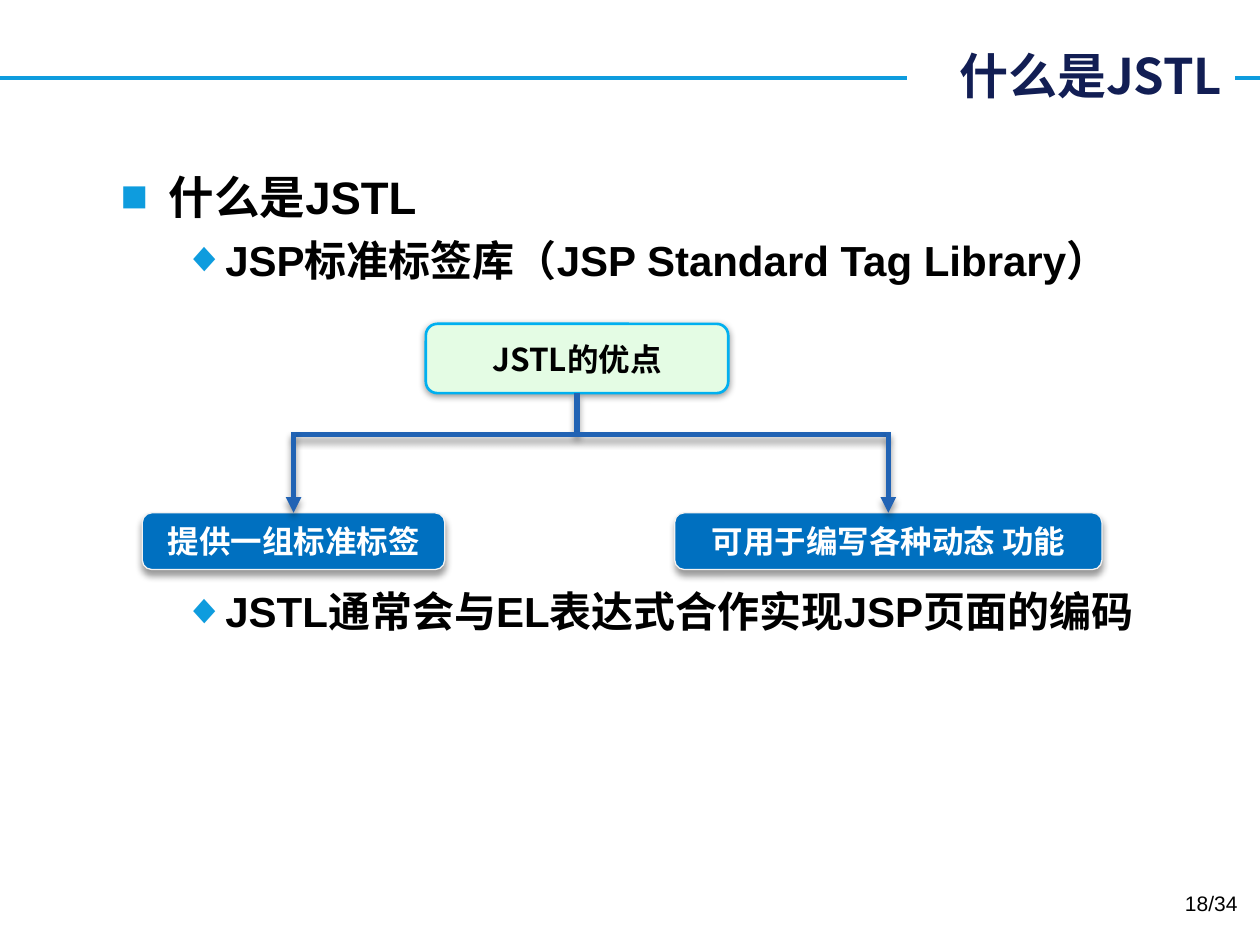
from lxml.etree import SubElement
from pptx import Presentation
from pptx.dml.color import RGBColor
from pptx.enum.shapes import MSO_CONNECTOR as Line, MSO_SHAPE as Shape
from pptx.enum.text import MSO_ANCHOR as Anchor, MSO_AUTO_SIZE as Auto, PP_ALIGN as Align
from pptx.oxml.ns import qn
from pptx.util import Inches, Pt

TOP, BOTTOM = 0, 2


def color(value):
    return RGBColor.from_string(value)


def add_effects(shape, distance=None):
    """Give the shape a soft downward shadow, or none without a distance."""
    sp_pr = shape._element.spPr
    effects = SubElement(sp_pr, qn("a:effectLst"))
    if distance:
        shadow = SubElement(effects, qn("a:outerShdw"), blurRad=str(Pt(4)),
                            dist=str(Pt(distance)), dir="5400000", rotWithShape="0")
        black = SubElement(shadow, qn("a:srgbClr"), val="000000")
        SubElement(black, qn("a:alpha"), val="40000")


class SlideBuilder:
    latin, cjk = "Arial", "Noto Sans CJK SC"
    accent, connector = "0E9CDE", "2163B4"

    def __init__(self, prs):
        self.s = prs.slides.add_slide(prs.slide_layouts[5])

    def style(self, p, size, hex_color="000000", bold=True, font=None, align=None):
        p.alignment = align
        p.font.name = font or self.latin
        p.font.size, p.font.bold = Pt(size), bold
        p.font.color.rgb = color(hex_color)
        latin = p.font._element.find(qn("a:latin"))
        ea = SubElement(p.font._element, qn("a:ea"), typeface=self.cjk)
        latin.addnext(ea)

    def title(self, text, left, top, width, height):
        sp = self.s.shapes.title
        sp.left, sp.top, sp.width, sp.height = map(Inches, (left, top, width, height))
        sp.fill.solid()
        sp.fill.fore_color.rgb = color("FFFFFF")
        tf = sp.text_frame
        tf.text = text
        tf.auto_size, tf.vertical_anchor = Auto.NONE, Anchor.MIDDLE
        self.style(tf.paragraphs[0], 28, "121E54", font=self.cjk, align=Align.RIGHT)
        rule = self.line((0, 0.62), (10, 0.62), self.accent, 2.25, shadow=None)
        sp._element.addprevious(rule._element)

    def text_frame(self, left, top, width, height):
        tf = self.s.shapes.add_textbox(*map(Inches, (left, top, width, height))).text_frame
        tf.word_wrap = True
        return tf

    def bullet(self, p, text, mark, size, margin, hanging, before):
        p.text = text
        p.space_before, p.line_spacing = Pt(before), Pt(29)
        p_pr = p._p.get_or_add_pPr()
        p_pr.set("marL", str(Inches(margin)))
        p_pr.set("indent", str(-Inches(hanging)))
        bullet_color = SubElement(p_pr, qn("a:buClr"))
        SubElement(bullet_color, qn("a:srgbClr"), val=self.accent)
        SubElement(p_pr, qn("a:buFont"), typeface=self.latin)
        SubElement(p_pr, qn("a:buChar"), char=mark)
        self.style(p, size)

    def box(self, text, left, top, width, height, fill, border, border_width,
            text_color, font, shadow):
        sp = self.s.shapes.add_shape(Shape.ROUNDED_RECTANGLE,
                                     *map(Inches, (left, top, width, height)))
        sp.fill.solid()
        sp.fill.fore_color.rgb = color(fill)
        sp.line.color.rgb, sp.line.width = color(border), Pt(border_width)
        add_effects(sp, shadow)
        tf = sp.text_frame
        tf.text = text
        tf.vertical_anchor = Anchor.MIDDLE
        self.style(tf.paragraphs[0], 18, text_color, font=font, align=Align.CENTER)
        return sp

    def line(self, start, end, hex_color=connector, width=3, shadow=3, arrow=False):
        cx = self.s.shapes.add_connector(Line.STRAIGHT, *map(Inches, (*start, *end)))
        cx.line.color.rgb, cx.line.width = color(hex_color), Pt(width)
        if arrow:
            SubElement(cx.line._get_or_add_ln(), qn("a:tailEnd"), type="triangle")
        add_effects(cx, shadow)
        return cx


def main():
    prs = Presentation()
    prs.slide_width, prs.slide_height = Inches(10), Inches(7.5)
    slide = SlideBuilder(prs)
    slide.title("什么是JSTL", 7.2, 0.31, 2.6, 0.57)

    body = slide.text_frame(0.86, 1.32, 9, 3.9)
    # The last point starts below the diagram.
    points = [
        ("什么是JSTL", "■", 26, 0.38, 0.38, 0),
        ("JSP标准标签库（JSP Standard Tag Library）", "◆", 24, 0.81, 0.31, 6),
        ("JSTL通常会与EL表达式合作实现JSP页面的编码", "◆", 24, 0.81, 0.31, 172),
    ]
    for i, point in enumerate(points):
        slide.bullet(body.add_paragraph() if i else body.paragraphs[0], *point)

    root = slide.box("JSTL的优点", 3.38, 2.57, 2.4, 0.55, "E4FCE4", "00B0F0", 1.5,
                     "000000", slide.cjk, 1)
    bar_y, left_x, right_x = 3.45, 2.33, 7.05
    stem = slide.line((4.58, 3.12), (4.58, bar_y))
    stem.begin_connect(root, BOTTOM)
    slide.line((left_x, bar_y), (right_x, bar_y))

    benefits = [("提供一组标准标签", left_x, 2.4), ("可用于编写各种动态 功能", right_x, 3.39)]
    for text, center, width in benefits:
        leaf = slide.box(text, center - width / 2, 4.07, width, 0.45, "0070C0", "F2F2F2",
                         0.75, "FFFFFF", slide.latin, 3)
        arrow = slide.line((center, bar_y - 0.02), (center, 4.07), arrow=True)
        arrow.end_connect(leaf, TOP)

    page = slide.text_frame(7.59, 7.02, 2.33, 0.4).paragraphs[0]
    page.text = "18/34"
    slide.style(page, 12, bold=False, align=Align.RIGHT)
    prs.save("out.pptx")


if __name__ == "__main__":
    main()
